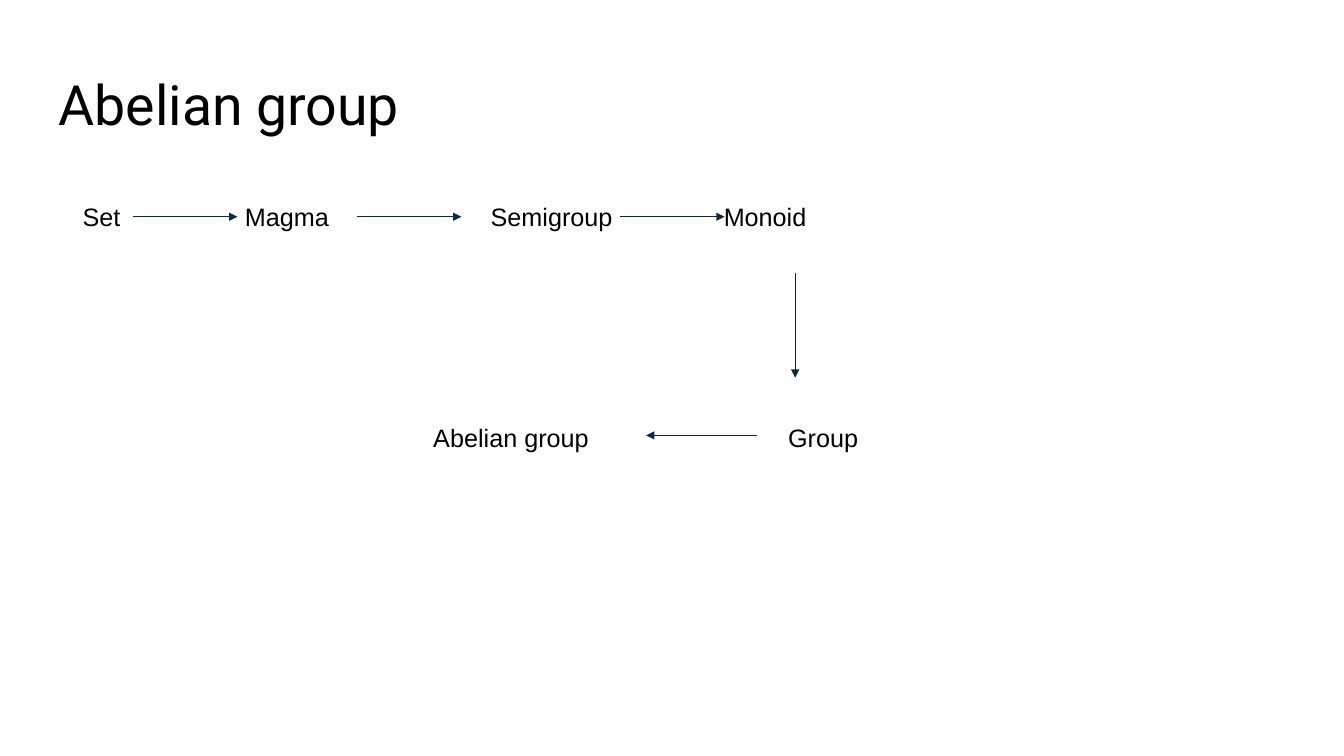
from lxml.etree import SubElement
from pptx import Presentation
from pptx.dml.color import RGBColor
from pptx.enum.shapes import MSO_CONNECTOR
from pptx.enum.text import MSO_ANCHOR
from pptx.oxml.ns import qn
from pptx.util import Pt

TOP_ROW, BOTTOM_ROW = 144, 301.5
NODES = [
    ("Set", 59, TOP_ROW),
    ("Magma", 175, TOP_ROW),
    ("Semigroup", 350.5, TOP_ROW),
    ("Monoid", 517, TOP_ROW),
    ("Group", 563, BOTTOM_ROW),
    ("Abelian group", 309.5, BOTTOM_ROW),
]
ARROW_LENGTH = 74.6
TOP_ARROW_Y = 154.8
TOP_ARROW_STARTS = [95, 255, 443]


def color(value):
    return RGBColor.from_string(value)


class Deck:
    text_color = "000000"
    line_color = "0E2841"

    def __init__(self, prs):
        self.s = prs.slides.add_slide(prs.slide_layouts[6])

    def text(self, text, x, y, w, h, *, size=18, font="Arial", inset=0,
             spacing=1.0, anchor=MSO_ANCHOR.TOP):
        tf = self.s.shapes.add_textbox(Pt(x), Pt(y), Pt(w), Pt(h)).text_frame
        tf.word_wrap = True
        tf.vertical_anchor = anchor
        tf.margin_left = tf.margin_right = Pt(inset)
        tf.margin_top = tf.margin_bottom = Pt(inset)
        p = tf.paragraphs[0]
        p.line_spacing = spacing
        r = p.add_run()
        r.text = text
        r.font.name = font
        r.font.size = Pt(size)
        r.font.color.rgb = color(self.text_color)

    def arrow(self, x1, y1, x2, y2):
        line = self.s.shapes.add_connector(
            MSO_CONNECTOR.STRAIGHT, Pt(x1), Pt(y1), Pt(x2), Pt(y2))
        line.line.color.rgb = color(self.line_color)
        line.line.width = Pt(0.75)
        sp_pr = line._element.spPr
        SubElement(sp_pr.find(qn("a:ln")), qn("a:tailEnd"), type="triangle")
        SubElement(sp_pr, qn("a:effectLst"))


def main():
    prs = Presentation()
    prs.slide_width, prs.slide_height = Pt(960), Pt(540)
    deck = Deck(prs)
    deck.text("Abelian group", 32.4, 46.8, 894.2, 60.5, size=39.6,
              font="Roboto", inset=9.36, spacing=0.9,
              anchor=MSO_ANCHOR.MIDDLE)
    for name, x, y in NODES:
        deck.text(name, x, y, 130, 21)
    for x in TOP_ARROW_STARTS:
        deck.arrow(x, TOP_ARROW_Y, x + ARROW_LENGTH, TOP_ARROW_Y)
    deck.arrow(568, 195.2, 568, 195.2 + ARROW_LENGTH)
    deck.arrow(540.7, 311, 461.5, 311)
    prs.save("out.pptx")


if __name__ == "__main__":
    main()
